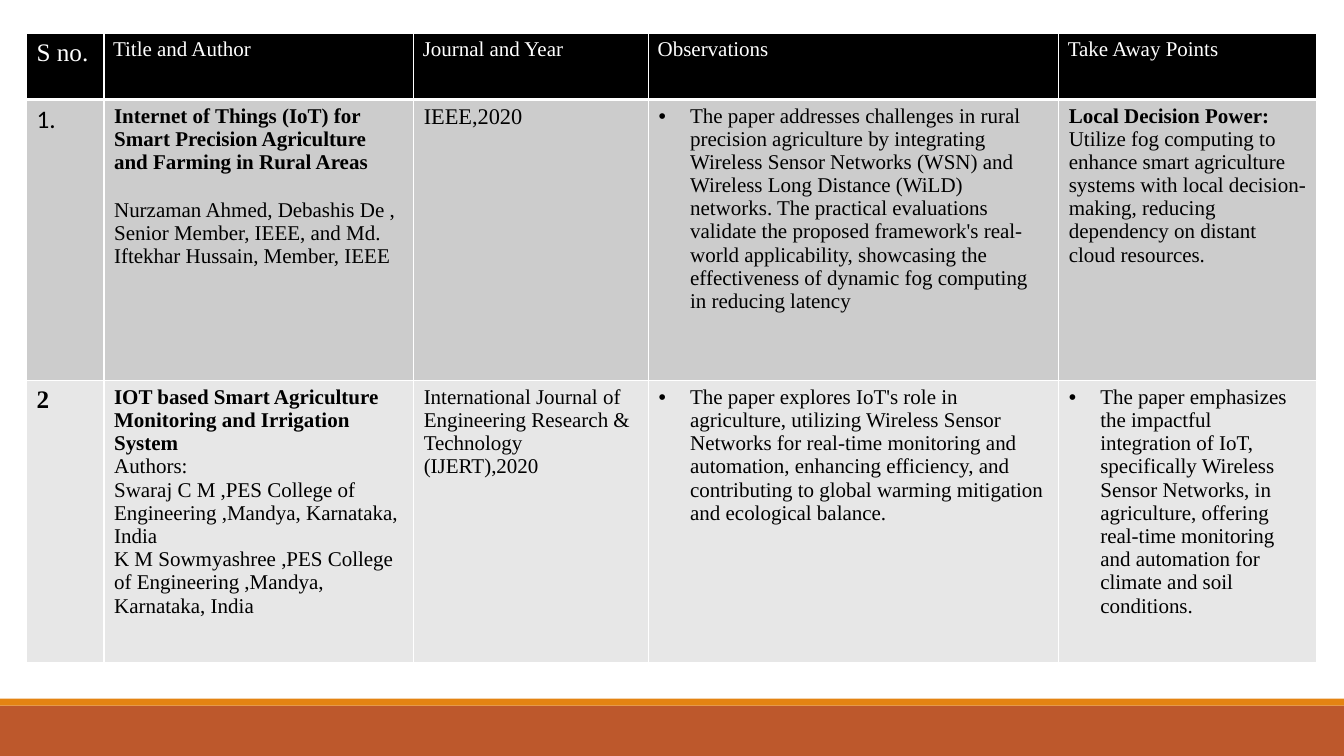
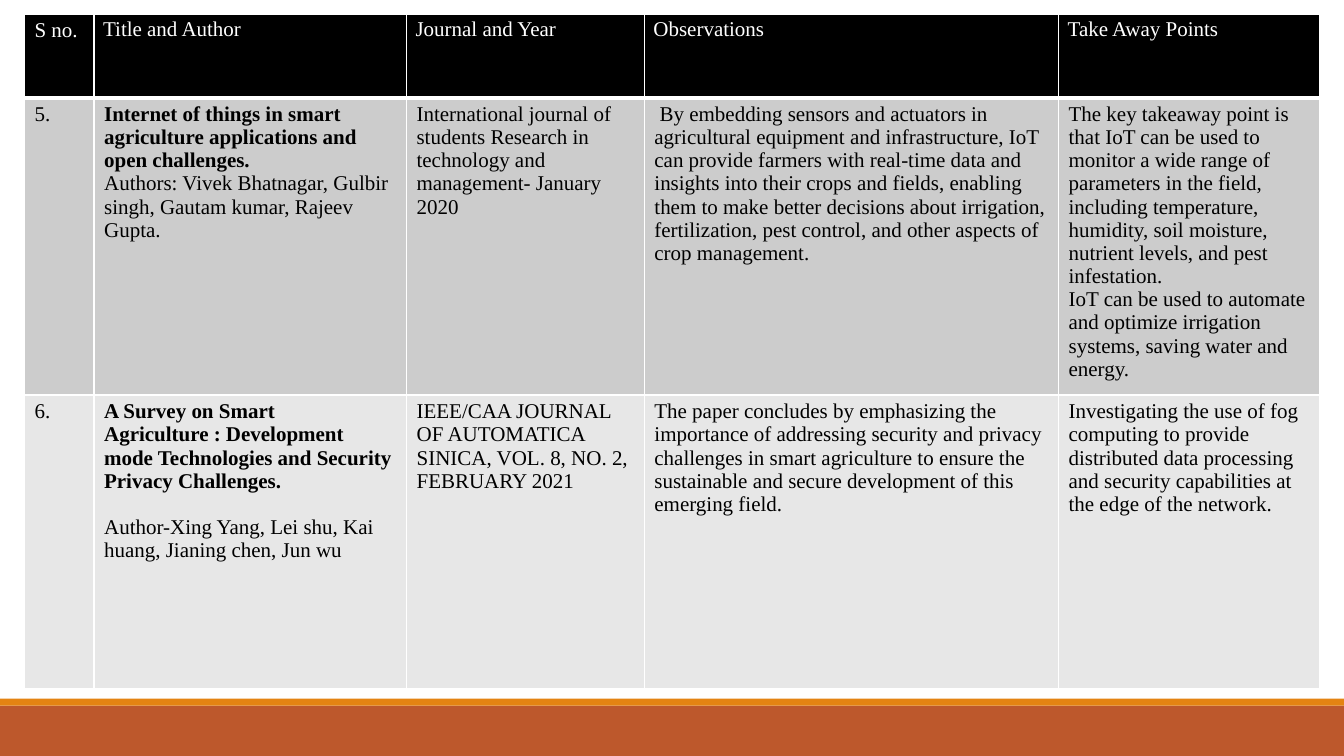
from lxml import etree
from pptx import Presentation
from pptx.dml.color import RGBColor
from pptx.enum.shapes import MSO_SHAPE
from pptx.oxml.ns import qn
from pptx.util import Pt

RECTANGLE = MSO_SHAPE.RECTANGLE
WIDTH, HEIGHT = 960, 540
BLANK_LAYOUT = 6
SERIF = "Times New Roman"
WHITE, BLACK = "FFFFFF", "000000"
RUST, ORANGE = "BD582C", "E48312"
ROW_FILLS = ["CCCCCC", "E7E7E7"]
BOLD = {"bold": True}
BULLET = {"bullet": True}
HEADINGS = ["Title and Author", "Journal and Year", "Observations", "Take Away Points"]


def color(value):
    return RGBColor.from_string(value)


def write(para, text, size=15, font=SERIF, bold=False, ink=BLACK,
          bullet=False, indent=0, before=0):
    properties = para._p.get_or_add_pPr()
    if bullet:
        properties.set("marL", str(Pt(22.5)))
        properties.set("indent", str(-Pt(22.5)))
        etree.SubElement(properties, qn("a:buFont"), typeface="Arial")
        etree.SubElement(properties, qn("a:buChar"), char="•")
    elif indent:
        properties.set("indent", str(Pt(indent)))
    if before:
        para.space_before = Pt(before)
    span = para.add_run()
    span.text = text
    span.font.name = font
    span.font.size = Pt(size)
    span.font.bold = bold
    span.font.color.rgb = color(ink)


class Review:
    def __init__(self):
        self.deck = Presentation()
        self.deck.slide_width = Pt(WIDTH)
        self.deck.slide_height = Pt(HEIGHT)
        self.page = None

    def add_page(self):
        layout = self.deck.slide_layouts[BLANK_LAYOUT]
        self.page = self.deck.slides.add_slide(layout)
        self.band(504, 36, RUST)
        self.band(499, 5, ORANGE)

    def band(self, top, height, fill):
        box = self.page.shapes.add_shape(RECTANGLE, 0, Pt(top), Pt(WIDTH), Pt(height))
        box.shadow.inherit = False
        box.fill.solid()
        box.fill.fore_color.rgb = color(fill)
        box.line.fill.background()

    def border(self, cell):
        properties = cell._tc.get_or_add_tcPr()
        for side, width in [("L", 1), ("R", 1), ("T", 1), ("B", 3)]:
            line = etree.SubElement(properties, qn("a:ln" + side), w=str(Pt(width)))
            fill = etree.SubElement(line, qn("a:solidFill"))
            etree.SubElement(fill, qn("a:srgbClr"), val=WHITE)

    def fill_cell(self, cell, content, fill, **base):
        cell.fill.solid()
        cell.fill.fore_color.rgb = color(fill)
        for number, item in enumerate(content):
            text, style = (item, {}) if isinstance(item, str) else item
            frame = cell.text_frame
            para = frame.add_paragraph() if number else frame.paragraphs[0]
            write(para, text, **{**base, **style})

    def table(self, left, top, columns, heights, number_heading, rows):
        frame = self.page.shapes.add_table(
            len(heights), len(columns), Pt(left), Pt(top),
            Pt(sum(columns)), Pt(sum(heights)))
        table = frame.table
        for column, width in zip(table.columns, columns):
            column.width = Pt(width)
        for row, height in zip(table.rows, heights):
            row.height = Pt(height)
        for index, heading in enumerate([number_heading, *HEADINGS]):
            cell = table.cell(0, index)
            self.border(cell)
            self.fill_cell(cell, [heading], BLACK, ink=WHITE)
            if index:
                cell.margin_left, cell.margin_top = Pt(6.5), Pt(3)
                cell.margin_right = cell.margin_bottom = 0
        for row_number, (row, fill) in enumerate(zip(rows, ROW_FILLS), 1):
            for index, content in enumerate(row):
                self.fill_cell(table.cell(row_number, index), content, fill)


RURAL_ROWS = [
    [
        [("1.", {"size": 18, "font": "Calibri"})],
        [("Internet of Things (IoT) for Smart Precision Agriculture and Farming "
          "in Rural Areas", BOLD),
         ("Nurzaman Ahmed, Debashis De , Senior Member, IEEE, and Md. Iftekhar "
          "Hussain, Member, IEEE", {"before": 17.7})],
        [("IEEE,2020", {"size": 16})],
        [("The paper addresses challenges in rural precision agriculture by "
          "integrating Wireless Sensor Networks (WSN) and Wireless Long Distance "
          "(WiLD) networks. The practical evaluations validate the proposed "
          "framework's real-world applicability, showcasing the effectiveness of "
          "dynamic fog computing in reducing latency", BULLET)],
        [("Local Decision Power:", BOLD),
         "Utilize fog computing to enhance smart agriculture systems with local "
         "decision-making, reducing dependency on distant cloud resources."],
    ],
    [
        [("2", {"size": 18, "bold": True})],
        [("IOT based Smart Agriculture Monitoring and Irrigation System", BOLD),
         "Authors:",
         "Swaraj C M ,PES College of Engineering ,Mandya, Karnataka, India",
         "K M Sowmyashree ,PES College of Engineering ,Mandya, Karnataka, India"],
        ["International Journal of Engineering Research & Technology (IJERT),2020"],
        [("The paper explores IoT's role in agriculture, utilizing Wireless Sensor "
          "Networks for real-time monitoring and automation, enhancing efficiency, "
          "and contributing to global warming mitigation and ecological balance.",
          BULLET)],
        [("The paper emphasizes the impactful integration of IoT, specifically "
          "Wireless Sensor Networks, in agriculture, offering real-time monitoring "
          "and automation for climate and soil conditions.", BULLET)],
    ],
]

SURVEY_ROWS = [
    [
        ["5."],
        [("Internet of things in smart agriculture applications and open "
          "challenges.", BOLD),
         "Authors: Vivek Bhatnagar, Gulbir singh, Gautam kumar, Rajeev Gupta."],
        ["International journal of students Research in technology and management- "
         "January 2020"],
        [("By embedding sensors and actuators in agricultural equipment and "
          "infrastructure, IoT can provide farmers with real-time data and insights "
          "into their crops and fields, enabling them to make better decisions about "
          "irrigation, fertilization, pest control, and other aspects of crop "
          "management.", {"indent": 3.75})],
        ["The key takeaway point is that IoT can be used to monitor a wide range of "
         "parameters in the field, including temperature, humidity, soil moisture, "
         "nutrient levels, and pest infestation.",
         "IoT can be used to automate and optimize irrigation systems, saving water "
         "and energy."],
    ],
    [
        ["6."],
        [("A Survey on Smart", BOLD),
         ("Agriculture : Development mode Technologies and Security Privacy "
          "Challenges.", BOLD),
         ("Author-Xing Yang, Lei shu, Kai huang, Jianing chen, Jun wu",
          {"before": 16.6})],
        ["IEEE/CAA JOURNAL OF AUTOMATICA SINICA, VOL. 8, NO. 2, FEBRUARY 2021"],
        ["The paper concludes by emphasizing the importance of addressing security "
         "and privacy challenges in smart agriculture to ensure the sustainable and "
         "secure development of this emerging field."],
        ["Investigating the use of fog computing to provide distributed data "
         "processing and security capabilities at the edge of the network."],
    ],
]


def main():
    review = Review()
    review.add_page()
    review.table(18.9, 24, [55.4, 221.2, 167.8, 293, 184.3], [47, 201, 201],
                 ("S no.", {"size": 18}), RURAL_ROWS)
    review.add_page()
    review.table(17.5, 10, [49.7, 223.2, 169.9, 295.9, 186.5], [59.8, 212.4, 209.5],
                 "S no.", SURVEY_ROWS)
    review.deck.save("out.pptx")


if __name__ == "__main__":
    main()
